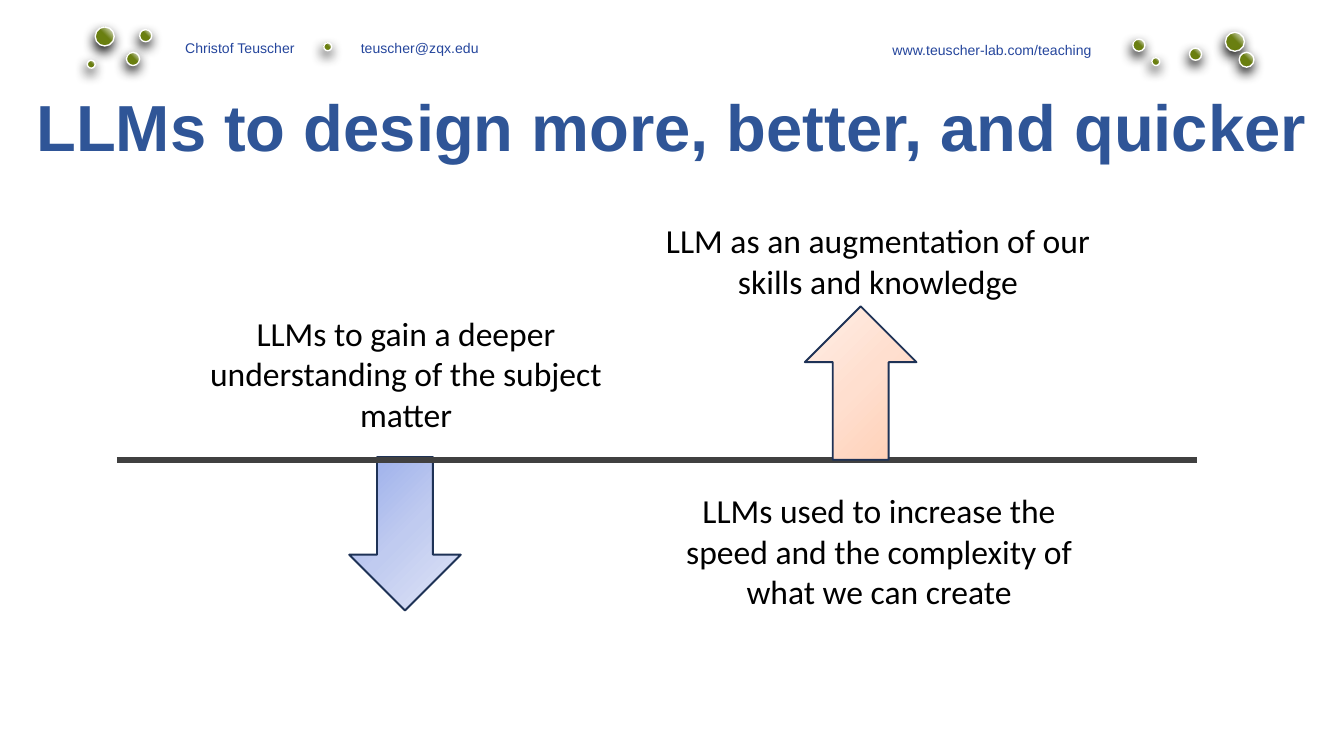
"""Build a slide on how LLMs help to design more, better, and quicker."""
import pptx
import pptx.dml.color
import pptx.enum.shapes
import pptx.enum.text
import pptx.oxml
import pptx.oxml.ns
import pptx.util

Cm = pptx.util.Cm
Pt = pptx.util.Pt
RGB = pptx.dml.color.RGBColor
Kind = pptx.enum.shapes.MSO_SHAPE
Align = pptx.enum.text.PP_ALIGN
Anchor = pptx.enum.text.MSO_ANCHOR

NAVY = RGB(0x24, 0x45, 0x9C)
BLUE = RGB(0x2F, 0x55, 0x97)
BLACK = RGB(0, 0, 0)
WHITE = RGB(0xFF, 0xFF, 0xFF)
GREY = RGB(0x40, 0x40, 0x40)
EDGE = RGB(0x1E, 0x32, 0x56)
GREEN = RGB(0x6A, 0x7F, 0x10)
COOL = [(0, RGB(0x96, 0xAB, 0xEA)), (50, RGB(0xC0, 0xCB, 0xF0)), (100, RGB(0xE0, 0xE5, 0xF7))]
WARM = [(0, RGB(0xFF, 0xCE, 0xB3)), (50, RGB(0xFF, 0xDF, 0xCF)), (100, RGB(0xFF, 0xEF, 0xE7))]
NS = pptx.oxml.ns.nsdecls("a")
RADIAL = '<a:path path="circle"><a:fillToRect l="0" t="100000" r="100000" b="0"/></a:path>'
LINEAR = '<a:lin ang="2700000" scaled="0"/>'
SHADOW = (f'<a:effectLst {NS}><a:outerShdw blurRad="82550" dist="38100" dir="6240000" '
          'algn="tl" rotWithShape="0"><a:srgbClr val="000000"><a:alpha val="92000"/>'
          '</a:srgbClr></a:outerShdw></a:effectLst>')

deck = pptx.Presentation()
deck.slide_width, deck.slide_height = Cm(25.4), Cm(14.29)
slide = deck.slides.add_slide(deck.slide_layouts[6])
shapes = slide.shapes


def add_text(text, box, frame, para, font):
    item = shapes.add_textbox(*map(Cm, box)).text_frame
    line = item.paragraphs[0]
    run = line.add_run()
    run.text = text
    for target, values in ((item, frame), (line, para), (run.font, font)):
        for key, value in values.items():
            setattr(target, key, value)
    return run


def add_blend(kind, box, stops, way, edge, width):
    item = shapes.add_shape(kind, *map(Cm, box))
    item.shadow.inherit = False
    item.line.color.rgb = edge
    item.line.width = Pt(width)
    item.fill.gradient()
    marks = "".join(f'<a:gs pos="{spot * 1000}"><a:srgbClr val="{hue}"/></a:gs>'
                    for spot, hue in stops)
    props = item.element.spPr
    props.replace(props.find(pptx.oxml.ns.qn("a:gradFill")), pptx.oxml.parse_xml(
        f'<a:gradFill {NS} rotWithShape="1"><a:gsLst>{marks}</a:gsLst>{way}</a:gradFill>'))
    return item


low = {"word_wrap": True, "vertical_anchor": Anchor.BOTTOM}
small = {"name": "Arial", "size": Pt(7.5)}
for text, box, side in [
    ("Christof Teuscher", (3.25, 0.33, 3, 0.86), Align.LEFT),
    ("teuscher@zqx.edu", (6.57, 0.33, 3.5, 0.86), Align.LEFT),
    ("www.teuscher-lab.com/teaching", (14.58, 0.36, 6.3, 0.86), Align.RIGHT),
]:
    add_text(text, box, low, {"alignment": side}, small).font.color.rgb = NAVY

for left, top, size in [
    (1.8, 0.51, 0.36), (23.16, 0.61, 0.36), (23.42, 0.99, 0.28), (2.64, 0.56, 0.23),
    (2.39, 0.99, 0.25), (1.65, 1.14, 0.15), (6.12, 0.81, 0.15), (22.48, 0.91, 0.23),
    (21.41, 0.74, 0.23), (21.77, 1.09, 0.15),
]:
    dot = add_blend(Kind.OVAL, (left, top, size, size),
                    [(53, GREEN), (100, WHITE)], RADIAL, WHITE, 0.75)
    props = dot.element.spPr
    props.replace(props.find(pptx.oxml.ns.qn("a:effectLst")), pptx.oxml.parse_xml(SHADOW))

add_blend(Kind.DOWN_ARROW, (6.6, 8.64, 2.11, 2.9), COOL, LINEAR, EDGE, 1)

pad = {"margin_left": Cm(0.18), "margin_right": Cm(0.18),
       "margin_top": Cm(0.1), "margin_bottom": Cm(0.1)}
add_text("LLMs to design more, better, and quicker", (0, 1.88, 25.4, 1.3), low | pad,
         {"alignment": Align.CENTER, "line_spacing": 0.7},
         {"name": "Arial", "size": Pt(34.9), "bold": True}).font.color.rgb = BLUE

rule = shapes.add_connector(pptx.enum.shapes.MSO_CONNECTOR.STRAIGHT,
                            Cm(2.21), Cm(8.69), Cm(22.63), Cm(8.69))
rule.line.color.rgb = GREY
rule.line.width = Pt(3)
rule.element.spPr.append(pptx.oxml.parse_xml(f"<a:effectLst {NS}/>"))

rise = add_blend(Kind.DOWN_ARROW, (15.21, 5.79, 2.11, 2.9), WARM, LINEAR, EDGE, 1)
rise.rotation = 180

for text, box in [
    ("LLMs used to increase the speed and the complexity of what we can create",
     (12.27, 9.14, 8.69, 2.57)),
    ("LLM as an augmentation of our skills and knowledge", (11.86, 4.04, 9.47, 1.8)),
    ("LLMs to gain a deeper understanding of the subject matter", (3.33, 5.79, 8.69, 2.57)),
]:
    add_text(text, box, {"word_wrap": True}, {"alignment": Align.CENTER},
             {"name": "Calibri", "size": Pt(18)}).font.color.rgb = BLACK

deck.save("out.pptx")
